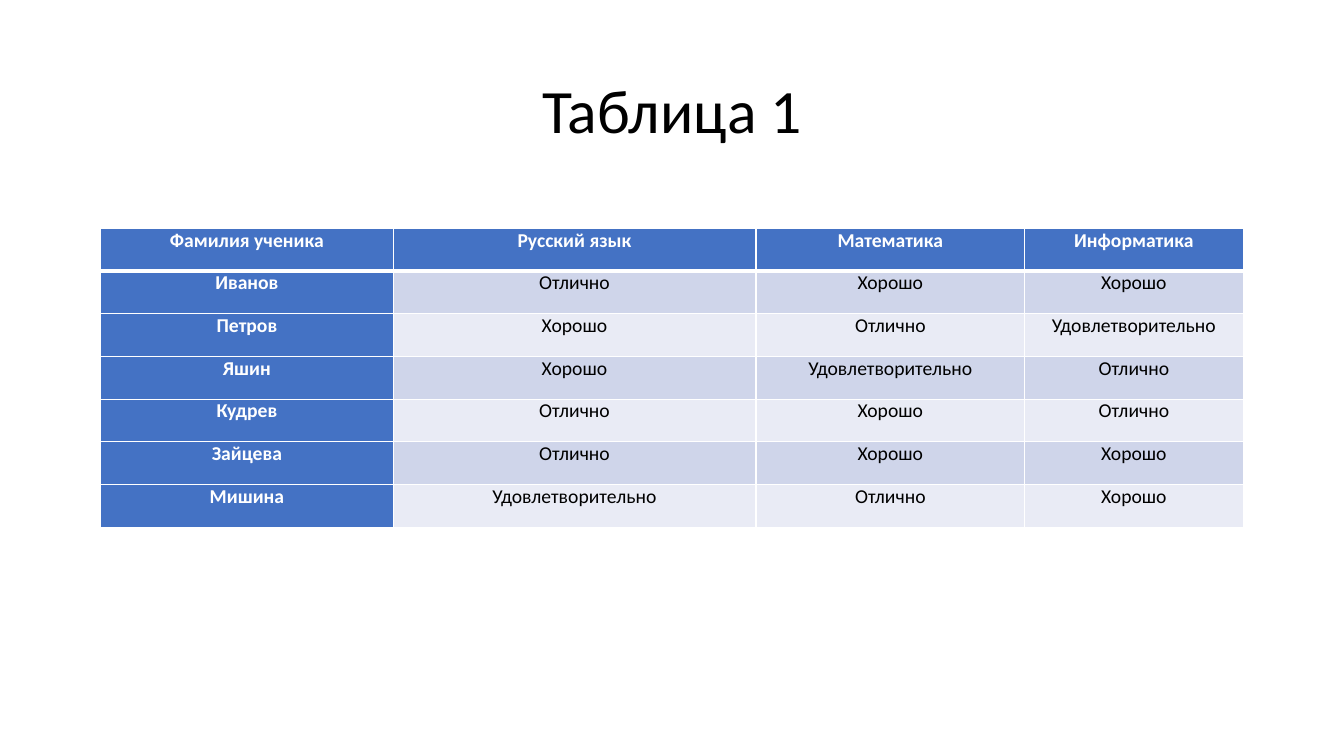
"""Builds a slide with a table of pupils' marks in three subjects."""
from lxml.etree import SubElement
from pptx import Presentation
from pptx.dml.color import RGBColor
from pptx.enum.text import MSO_ANCHOR as Anchor, PP_ALIGN as Align
from pptx.oxml.ns import qn
from pptx.util import Inches, Pt

COLUMNS, ROWS = 80, 45
BLUE, WHITE, BLACK = "4472C4", "FFFFFF", "000000"
BANDS = ("CFD5EA", "E9EBF5")

HEADINGS = ["Фамилия ученика", "Русский язык", "Математика", "Информатика"]
GOOD, FINE, FAIR = "Отлично", "Хорошо", "Удовлетворительно"
MARKS = {
    "Иванов": [GOOD, FINE, FINE],
    "Петров": [FINE, GOOD, FAIR],
    "Яшин": [FINE, FAIR, GOOD],
    "Кудрев": [GOOD, FINE, GOOD],
    "Зайцева": [GOOD, FINE, FINE],
    "Мишина": [FAIR, GOOD, FINE],
}


def color(value):
    return RGBColor.from_string(value)


class SlideBuilder:
    def __init__(self, presentation, font):
        self.font = font
        self.slide = presentation.slides.add_slide(presentation.slide_layouts[6])
        self.column = presentation.slide_width / COLUMNS
        self.row = presentation.slide_height / ROWS

    def place(self, left, top, width, height):
        return (int(left * self.column), int(top * self.row),
                int(width * self.column), int(height * self.row))

    def text(self, frame, text, size, ink, bold=False, spacing=1.0):
        frame.word_wrap = True
        paragraph = frame.paragraphs[0]
        paragraph.alignment = Align.CENTER
        paragraph.line_spacing = spacing
        run = paragraph.add_run()
        run.text = text
        run.font.name = self.font
        run.font.size = Pt(size)
        run.font.bold = bold
        run.font.color.rgb = color(ink)

    def title(self, text, area):
        frame = self.slide.shapes.add_textbox(*self.place(*area)).text_frame
        frame.vertical_anchor = Anchor.MIDDLE
        self.text(frame, text, 44, BLACK, spacing=0.9)

    def border(self, cell, side, width):
        line = SubElement(cell._tc.get_or_add_tcPr(), qn(f"a:ln{side}"), w=str(Pt(width)))
        fill = SubElement(line, qn("a:solidFill"))
        SubElement(fill, qn("a:srgbClr"), val=WHITE)

    def cell(self, cell, text, row, column):
        heading = row == 0 or column == 0
        cell.margin_left = cell.margin_right = Inches(0.07)
        cell.margin_top = cell.margin_bottom = 0
        widths = {"L": 1, "R": 1, "T": 3 if row == 1 else 1, "B": 3 if row == 0 else 1}
        for side, width in widths.items():
            self.border(cell, side, width)
        cell.fill.solid()
        cell.fill.fore_color.rgb = color(BLUE if heading else BANDS[(row - 1) % 2])
        self.text(cell.text_frame, text, 14, WHITE if heading else BLACK, heading)

    def table(self, lines, left, top, widths, height):
        area = self.place(left, top, sum(widths), height * len(lines))
        table = self.slide.shapes.add_table(len(lines), len(widths), *area).table
        for column, width in zip(table.columns, widths):
            column.width = int(width * self.column)
        for row, line in enumerate(lines):
            for column, text in enumerate(line):
                self.cell(table.cell(row, column), text, row, column)


presentation = Presentation()
presentation.slide_width, presentation.slide_height = Inches(13.33), Inches(7.5)
builder = SlideBuilder(presentation, "Calibri")
builder.title("Таблица 1", (5.5, 2.4, 69, 8.7))
lines = [HEADINGS] + [[pupil, *marks] for pupil, marks in MARKS.items()]
builder.table(lines, 6, 13.6, (17.4, 21.6, 16, 13), 2.54)
presentation.save("out.pptx")
